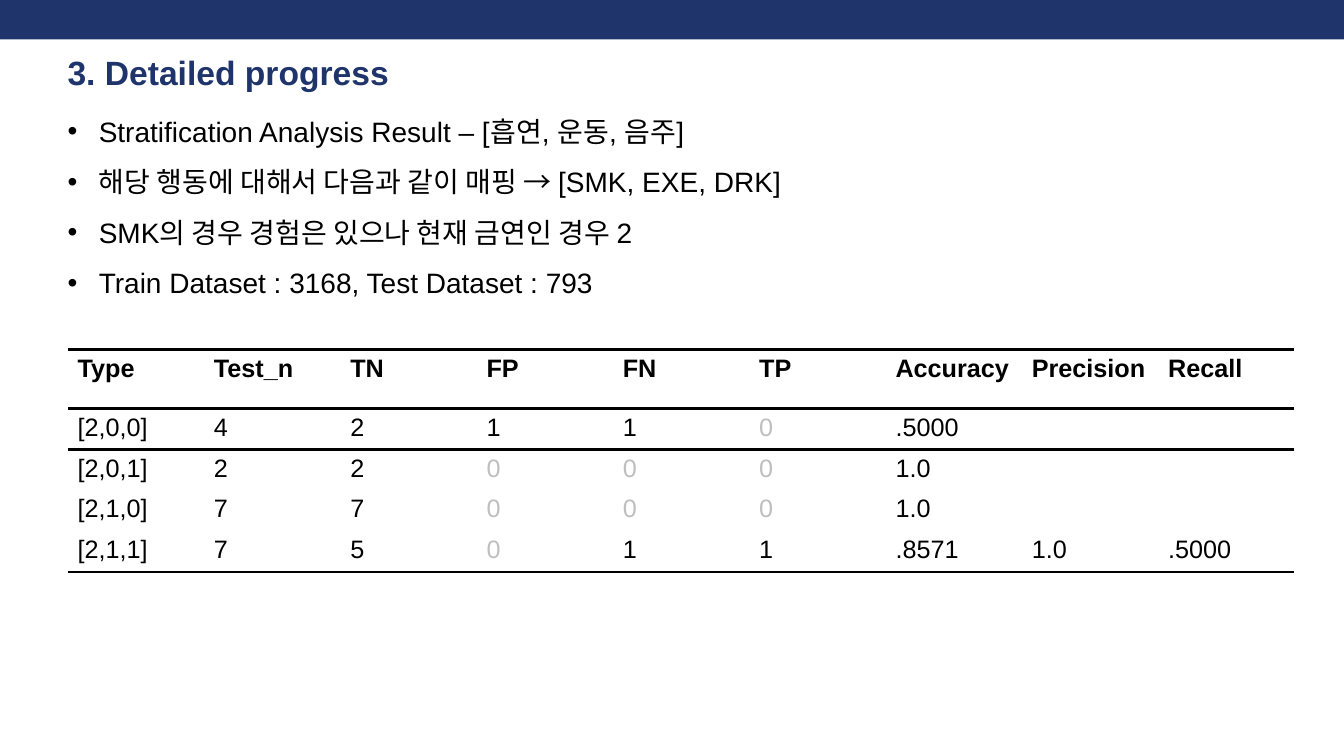
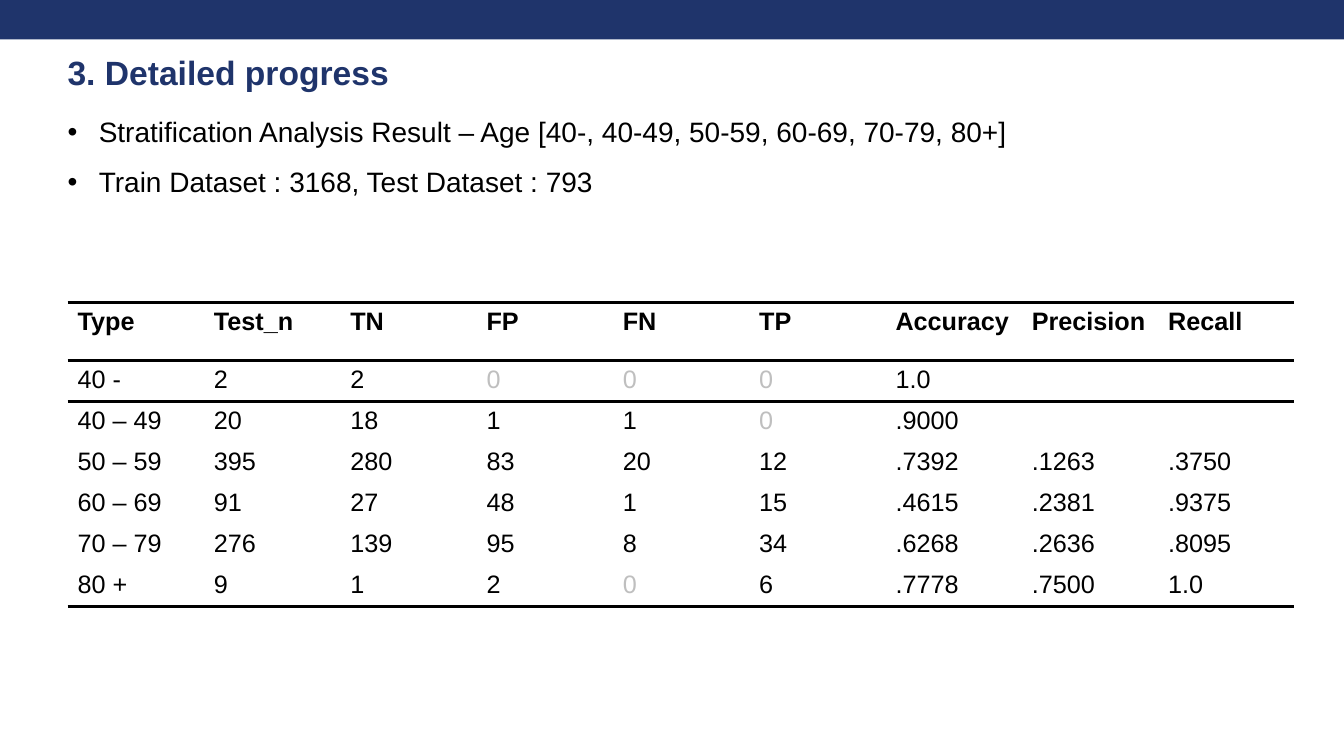
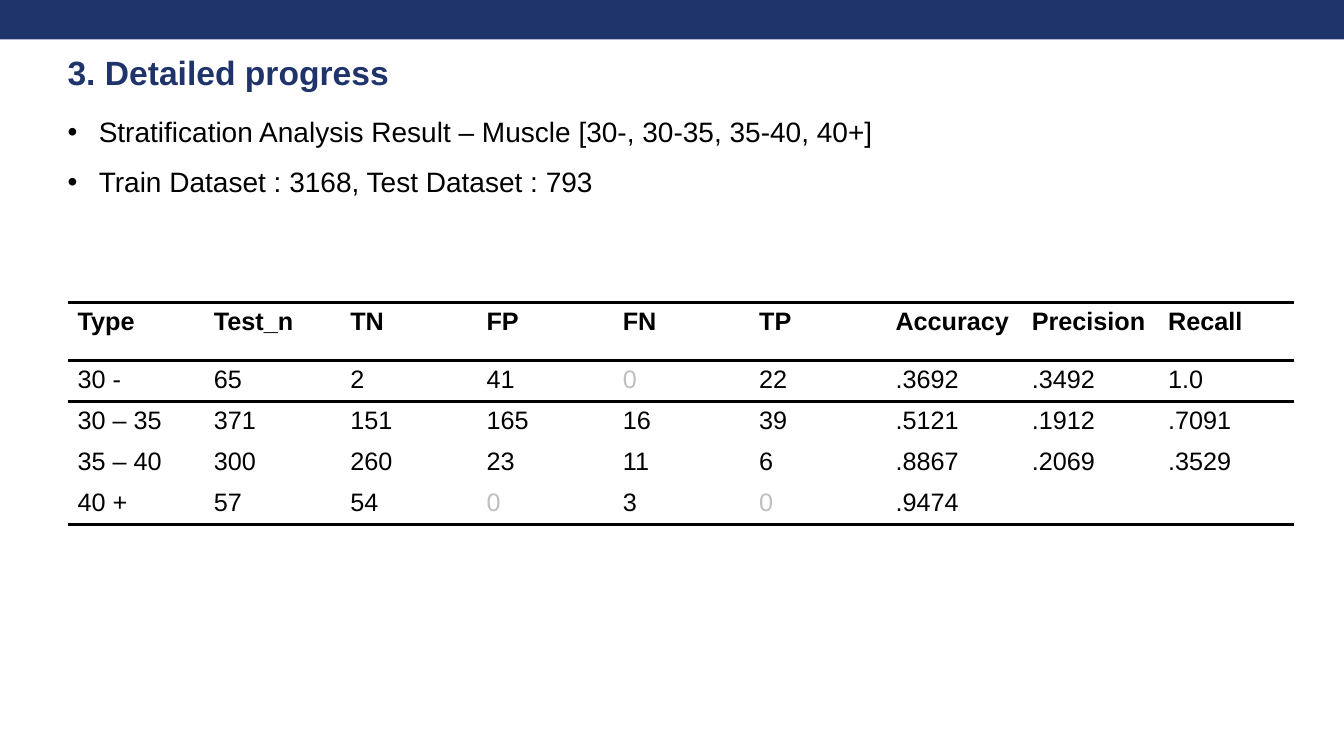
from lxml import etree
from pptx import Presentation
from pptx.dml.color import RGBColor
from pptx.enum.shapes import MSO_SHAPE
from pptx.enum.text import MSO_ANCHOR
from pptx.oxml.ns import qn
from pptx.util import Inches, Pt

RECTANGLE = MSO_SHAPE.RECTANGLE
TOP, BOTTOM = MSO_ANCHOR.TOP, MSO_ANCHOR.BOTTOM

# Shared style
FONT = "Arial"
NAVY, BLACK, GREY, WHITE = "1F346B", "000000", "BFBFBF", "FFFFFF"
SLIDE_WIDTH, SLIDE_HEIGHT = 13.33, 7.5
LEFT = 0.67
COLUMN_WIDTH, HEADER_HEIGHT, ROW_HEIGHT = 1.352, 0.58, 0.406
RULE_WIDTH = 2.25
PLAIN_TABLE_STYLE = "{2D5ABB26-0587-4C30-8999-92F81FD0307C}"

# Content
TITLE = "3. Detailed progress"
DATASETS = "Train Dataset : 3168, Test Dataset : 793"
HEADER = ["Type", "Test_n", "TN", "FP", "FN", "TP", "Accuracy", "Precision", "Recall"]

BEHAVIOUR_BULLETS = [
    "Stratification Analysis Result – [흡연, 운동, 음주]",
    "해당 행동에 대해서 다음과 같이 매핑 → [SMK, EXE, DRK]",
    "SMK의 경우 경험은 있으나 현재 금연인 경우 2",
    DATASETS,
]
BEHAVIOUR_ROWS = [
    ["[2,0,0]", "4", "2", "1", "1", "0", ".5000", "", ""],
    ["[2,0,1]", "2", "2", "0", "0", "0", "1.0", "", ""],
    ["[2,1,0]", "7", "7", "0", "0", "0", "1.0", "", ""],
    ["[2,1,1]", "7", "5", "0", "1", "1", ".8571", "1.0", ".5000"],
]

AGE_BULLETS = [
    "Stratification Analysis Result – Age [40-, 40-49, 50-59, 60-69, 70-79, 80+]",
    DATASETS,
]
AGE_ROWS = [
    ["40 -", "2", "2", "0", "0", "0", "1.0", "", ""],
    ["40 – 49", "20", "18", "1", "1", "0", ".9000", "", ""],
    ["50 – 59", "395", "280", "83", "20", "12", ".7392", ".1263", ".3750"],
    ["60 – 69", "91", "27", "48", "1", "15", ".4615", ".2381", ".9375"],
    ["70 – 79", "276", "139", "95", "8", "34", ".6268", ".2636", ".8095"],
    ["80 +", "9", "1", "2", "0", "6", ".7778", ".7500", "1.0"],
]

MUSCLE_BULLETS = [
    "Stratification Analysis Result – Muscle [30-, 30-35, 35-40, 40+]",
    DATASETS,
]
MUSCLE_ROWS = [
    ["30 -", "65", "2", "41", "0", "22", ".3692", ".3492", "1.0"],
    ["30 – 35", "371", "151", "165", "16", "39", ".5121", ".1912", ".7091"],
    ["35 – 40", "300", "260", "23", "11", "6", ".8867", ".2069", ".3529"],
    ["40 +", "57", "54", "0", "3", "0", ".9474", "", ""],
]


def colour(value):
    return RGBColor.from_string(value)


def add_span(paragraph, text, size, shade=BLACK, bold=False):
    span = paragraph.add_run()
    span.text = text
    font = span.font
    font.name, font.size, font.bold = FONT, Pt(size), bold
    font.color.rgb = colour(shade)


def add_box(page, top, width, height, anchor=TOP):
    box = page.shapes.add_textbox(Inches(LEFT), Inches(top), Inches(width), Inches(height))
    frame = box.text_frame
    frame.word_wrap = True
    frame.vertical_anchor = anchor
    frame.margin_left = frame.margin_right = frame.margin_top = frame.margin_bottom = 0
    return frame


def add_band(page):
    band = page.shapes.add_shape(RECTANGLE, 0, 0, Inches(SLIDE_WIDTH), Inches(0.39))
    band.shadow.inherit = False
    band.fill.solid()
    band.fill.fore_color.rgb = colour(NAVY)
    band.line.fill.background()


def add_title(page):
    frame = add_box(page, 0.49, 12.42, 0.42, BOTTOM)
    add_span(frame.paragraphs[0], TITLE, 24, NAVY, bold=True)


def set_bullet(paragraph):
    properties = paragraph._p.get_or_add_pPr()
    properties.set("marL", str(Inches(0.31)))
    properties.set("indent", str(-Inches(0.31)))
    etree.SubElement(properties, qn("a:buFont")).set("typeface", FONT)
    etree.SubElement(properties, qn("a:buChar")).set("char", "•")


def add_bullets(page, lines):
    frame = add_box(page, 0.97, 12, 0.49 * len(lines))
    for index, line in enumerate(lines):
        paragraph = frame.add_paragraph() if index else frame.paragraphs[0]
        set_bullet(paragraph)
        paragraph.line_spacing = 1.5
        add_span(paragraph, line, 20)


def add_rules(cell, sides):
    """Draw black borders; they must come before the fill of the cell."""
    properties = cell._tc.get_or_add_tcPr()
    for position, side in enumerate(sides):
        rule = etree.Element(qn("a:" + side), w=str(Pt(RULE_WIDTH)))
        fill = etree.SubElement(rule, qn("a:solidFill"))
        etree.SubElement(fill, qn("a:srgbClr")).set("val", BLACK)
        properties.insert(position, rule)


def add_results(page, top, rows):
    lines = [HEADER] + rows
    shape = page.shapes.add_table(
        len(lines), len(HEADER), Inches(LEFT), Inches(top),
        Inches(COLUMN_WIDTH * len(HEADER)),
        Inches(HEADER_HEIGHT + ROW_HEIGHT * len(rows)))
    table = shape.table
    table.first_row = table.horz_banding = False
    for style in shape.element.iter(qn("a:tableStyleId")):
        style.text = PLAIN_TABLE_STYLE
    for column in table.columns:
        column.width = Inches(COLUMN_WIDTH)

    for index, line in enumerate(lines):
        table.rows[index].height = Inches(ROW_HEIGHT if index else HEADER_HEIGHT)
        # Rules above and below the header, and below the last row
        sides = ["lnT"] if index < 2 else []
        if index in (0, len(rows)):
            sides.append("lnB")
        for number, text in enumerate(line):
            cell = table.cell(index, number)
            cell.fill.background()
            add_rules(cell, sides)
            if text:
                shade = GREY if text == "0" else BLACK
                add_span(cell.text_frame.paragraphs[0], text, 18, shade, bold=index == 0)


def add_page(deck, bullets, table_top, rows):
    page = deck.slides.add_slide(deck.slide_layouts[6])
    page.background.fill.solid()
    page.background.fill.fore_color.rgb = colour(WHITE)
    add_band(page)
    add_title(page)
    add_bullets(page, bullets)
    add_results(page, table_top, rows)


def main():
    deck = Presentation()
    deck.slide_width, deck.slide_height = Inches(SLIDE_WIDTH), Inches(SLIDE_HEIGHT)
    add_page(deck, BEHAVIOUR_BULLETS, 3.47, BEHAVIOUR_ROWS)
    add_page(deck, AGE_BULLETS, 3, AGE_ROWS)
    add_page(deck, MUSCLE_BULLETS, 3, MUSCLE_ROWS)
    deck.save("out.pptx")


if __name__ == "__main__":
    main()
